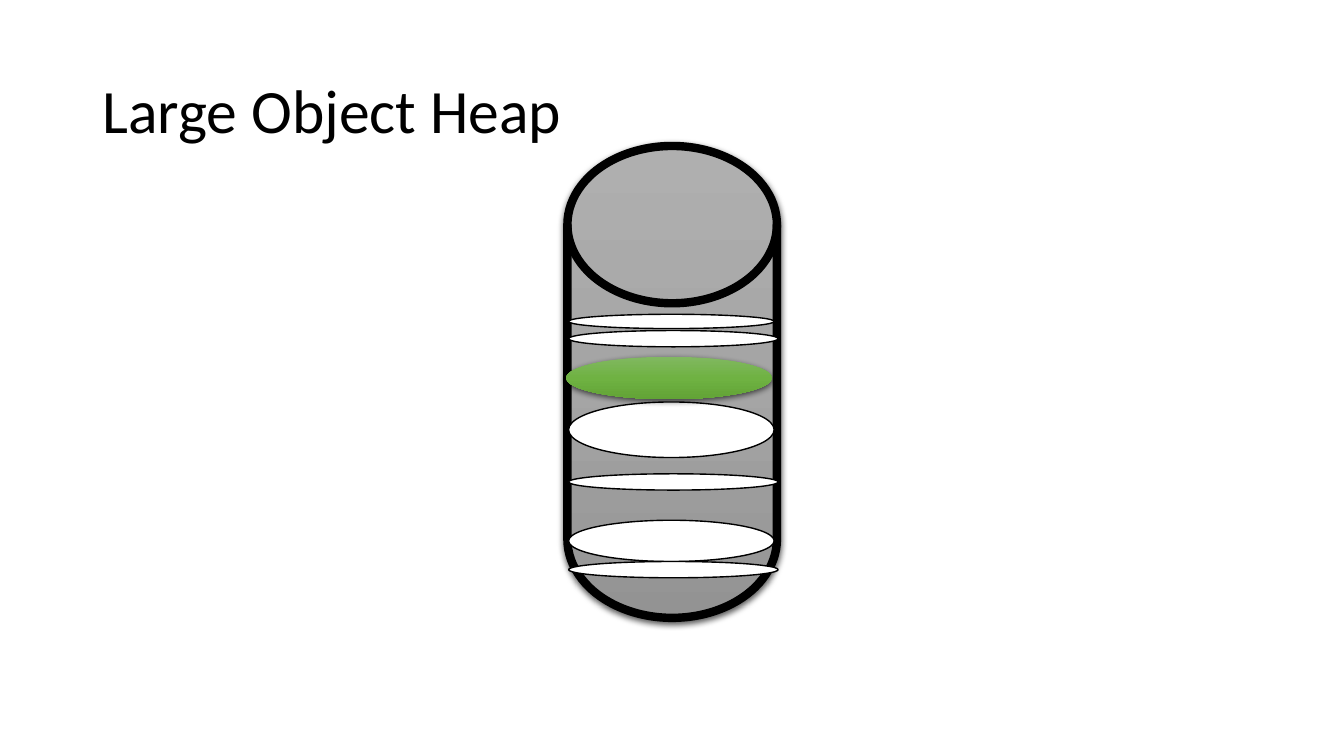
from lxml.etree import SubElement
from pptx import Presentation
from pptx.dml.color import RGBColor
from pptx.enum.shapes import MSO_SHAPE
from pptx.enum.text import MSO_ANCHOR
from pptx.oxml.ns import qn
from pptx.util import Cm, Pt

BLACK = "000000"
WHITE = "FFFFFF"
GRAYS = ("AFAFAF", "A5A5A5", "939393")
GREENS = ("81B861", "6FB242", "62A336")
LEFT = 14.33
NARROW, WIDE = 5.18, 5.28
FREE_BLOCKS = [
    (13.11, NARROW, 1.04),
    (14.15, WIDE, 0.41),
    (10.13, NARROW, 1.4),
    (11.94, WIDE, 0.41),
    (7.92, NARROW, 0.36),
    (8.33, WIDE, 0.41),
]


def rgb(value):
    """Return the colour for a hex string."""
    return RGBColor.from_string(value)


def add_shape(s, kind, x, y, w, h, line_width=0):
    """Add a preset shape with a black outline, or none at zero width."""
    sp = s.shapes.add_shape(kind, Cm(x), Cm(y), Cm(w), Cm(h))
    sp.shadow.inherit = False
    if line_width:
        sp.line.color.rgb = rgb(BLACK)
        sp.line.width = Pt(line_width)
    else:
        sp.line.fill.background()
    return sp


def fill_gradient(sp, colors):
    """Fill a shape from top to bottom with evenly spaced colours."""
    sp.fill.gradient()
    sp.fill.gradient_angle = 270
    stops = sp._element.spPr.find(qn("a:gradFill")).find(qn("a:gsLst"))
    for stop in list(stops):
        stops.remove(stop)
    for i, color in enumerate(colors):
        pos = 100000 * i // (len(colors) - 1)
        stop = SubElement(stops, qn("a:gs"), pos=str(pos))
        SubElement(stop, qn("a:srgbClr"), val=color)


def add_shadow(sp):
    """Give a shape a soft black shadow below it."""
    effects = sp._element.spPr.find(qn("a:effectLst"))
    shadow = SubElement(effects, qn("a:outerShdw"), blurRad=str(Pt(4.5)),
                        dist=str(Pt(1.5)), dir="5400000", algn="ctr", rotWithShape="0")
    color = SubElement(shadow, qn("a:srgbClr"), val=BLACK)
    SubElement(color, qn("a:alpha"), val="63000")


def add_shaded(s, kind, x, y, w, h, colors, line_width=0):
    """Add a shape with a gradient and a shadow."""
    sp = add_shape(s, kind, x, y, w, h, line_width)
    fill_gradient(sp, colors)
    add_shadow(sp)


def add_free_block(s, y, w, h):
    """Add a white disk inside the heap."""
    sp = add_shape(s, MSO_SHAPE.OVAL, LEFT, y, w, h, line_width=1)
    sp.fill.solid()
    sp.fill.fore_color.rgb = rgb(WHITE)


def add_text(s, text, x, y, w, h, size=18, font="Calibri", color=BLACK):
    """Add a vertically centred text box."""
    tf = s.shapes.add_textbox(Cm(x), Cm(y), Cm(w), Cm(h)).text_frame
    tf.word_wrap = True
    tf.vertical_anchor = MSO_ANCHOR.MIDDLE
    p = tf.paragraphs[0]
    p.line_spacing = 0.9
    r = p.add_run()
    r.text = text
    r.font.size = Pt(size)
    r.font.name = font
    r.font.color.rgb = rgb(color)


def main():
    """Build the slide and save it."""
    prs = Presentation()
    prs.slide_width, prs.slide_height = Cm(33.87), Cm(19.05)
    s = prs.slides.add_slide(prs.slide_layouts[6])
    add_shaded(s, MSO_SHAPE.FLOWCHART_MAGNETIC_DISK, 14.3, 3.68, WIDE, 11.89,
               GRAYS, line_width=6)
    add_text(s, "Large Object Heap", 2.33, 1.01, 29.21, 3.68, size=44)
    for y, w, h in FREE_BLOCKS:
        add_free_block(s, y, w, h)
    add_shaded(s, MSO_SHAPE.OVAL, 14.27, 8.99, NARROW, 1.07, GREENS)
    prs.save("out.pptx")


if __name__ == "__main__":
    main()
